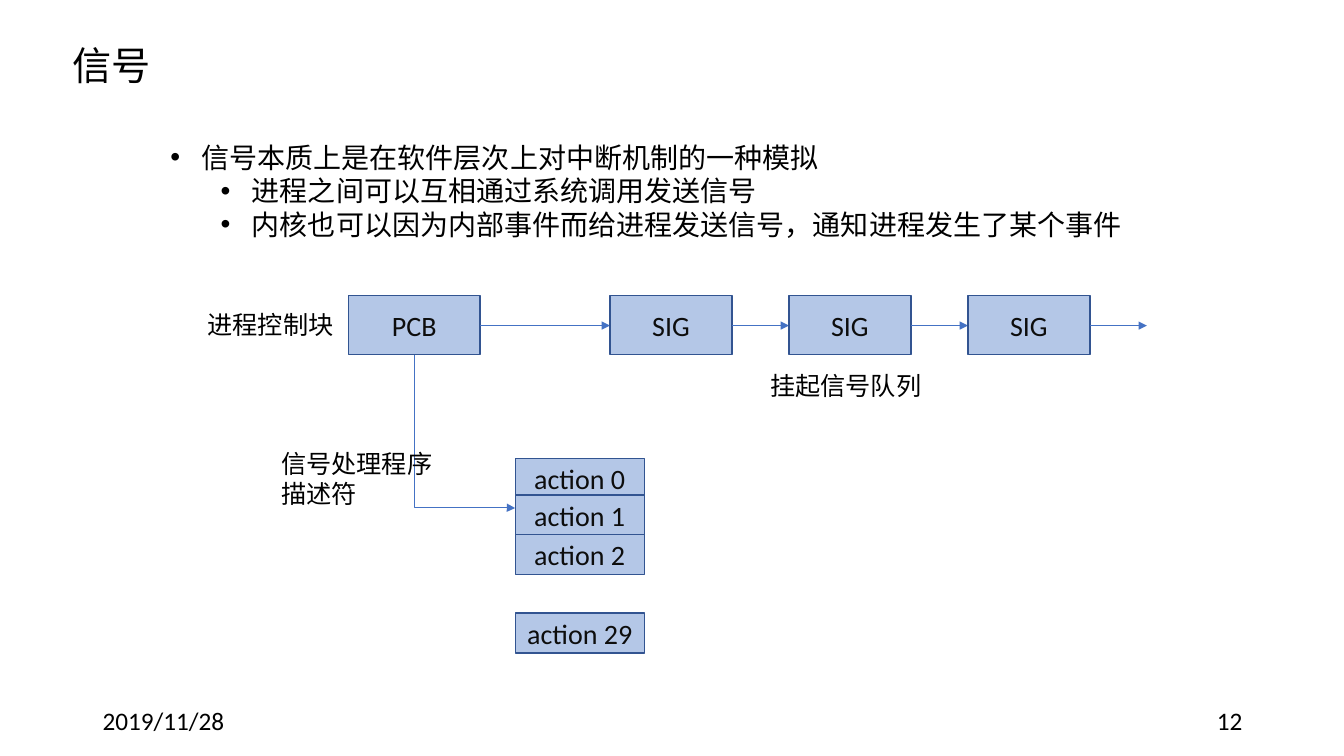
"""Build a slide on process signals, the pending queue and the action table."""
from dataclasses import dataclass

from lxml import etree
from pptx import Presentation
from pptx.dml.color import RGBColor
from pptx.enum import shapes, text
from pptx.oxml.ns import qn
from pptx.util import Inches, Pt


@dataclass(frozen=True)
class Theme:
    """Fonts, colours and sizes of the slide."""
    font: str = "Calibri"
    ink: str = "000000"
    box_ink: str = "0D0D0D"
    box_fill: str = "B4C7E7"
    box_line: str = "325491"
    arrow: str = "4472C4"
    title: int = 28
    body: int = 20
    label: int = 18


THEME = Theme()


def rgb(value):
    """Return a colour from its hex string."""
    return RGBColor.from_string(value)


def write(p, content, *, size=THEME.label, color=THEME.ink, align=None, spacing=None):
    """Write one formatted run into a paragraph."""
    if align is not None:
        p.alignment = align
    if spacing is not None:
        p.line_spacing = spacing
    r = p.add_run()
    r.text = content
    r.font.name = THEME.font
    r.font.size = Pt(size)
    r.font.color.rgb = rgb(color)


def add_frame(s, x, y, w, h, wrap=True):
    """Add a text box and return its text frame."""
    tf = s.shapes.add_textbox(Inches(x), Inches(y), Inches(w), Inches(h)).text_frame
    tf.word_wrap = wrap
    return tf


def add_label(s, content, x, y, w, h=0.4, wrap=True, **style):
    """Add a single-paragraph text box."""
    write(add_frame(s, x, y, w, h, wrap).paragraphs[0], content, **style)


def add_bullets(s, items, x, y, w, h):
    """Add a bulleted list from (level, text) pairs."""
    tf = add_frame(s, x, y, w, h, wrap=False)
    for i, (level, content) in enumerate(items):
        p = tf.add_paragraph() if i else tf.paragraphs[0]
        p.level = level
        pPr = p._p.get_or_add_pPr()
        pPr.set("marL", str(Inches(0.31 + 0.5 * level)))
        pPr.set("indent", str(Inches(-0.31)))
        etree.SubElement(pPr, qn("a:buFont"), typeface="Arial")
        etree.SubElement(pPr, qn("a:buChar"), char="•")
        write(p, content, size=THEME.body)


def add_box(s, content, x, y, w, h):
    """Add a filled rectangle with centred text."""
    sp = s.shapes.add_shape(shapes.MSO_SHAPE.RECTANGLE,
                            Inches(x), Inches(y), Inches(w), Inches(h))
    sp.shadow.inherit = False
    sp.fill.solid()
    sp.fill.fore_color.rgb = rgb(THEME.box_fill)
    sp.line.color.rgb = rgb(THEME.box_line)
    sp.line.width = Pt(1)
    tf = sp.text_frame
    tf.word_wrap = True
    tf.vertical_anchor = text.MSO_ANCHOR.MIDDLE
    write(tf.paragraphs[0], content, size=THEME.body, color=THEME.box_ink,
          align=text.PP_ALIGN.CENTER)


def add_arrow(s, x1, y1, x2, y2, kind=shapes.MSO_CONNECTOR.STRAIGHT):
    """Add a thin connector with an arrowhead at its end."""
    cx = s.shapes.add_connector(kind, Inches(x1), Inches(y1), Inches(x2), Inches(y2))
    cx.line.color.rgb = rgb(THEME.arrow)
    cx.line.width = Pt(0.5)
    etree.SubElement(cx.line._get_or_add_ln(), qn("a:tailEnd"), type="triangle")
    etree.SubElement(cx._element.spPr, qn("a:effectLst"))
    return cx


def add_down_right_arrow(s, x1, y1, x2, y2):
    """Add an elbow arrow that runs down and then right."""
    mid_x, mid_y = (x1 + x2) / 2, (y1 + y2) / 2
    half_w, half_h = (y2 - y1) / 2, (x2 - x1) / 2
    cx = add_arrow(s, mid_x + half_w, mid_y - half_h, mid_x - half_w, mid_y + half_h,
                   shapes.MSO_CONNECTOR.ELBOW)
    spPr = cx._element.spPr
    spPr.find(qn("a:xfrm")).set("rot", str(270 * 60000))
    geom = spPr.find(qn("a:prstGeom"))
    guides = geom.find(qn("a:avLst"))
    if guides is None:
        guides = etree.SubElement(geom, qn("a:avLst"))
    etree.SubElement(guides, qn("a:gd"), name="adj1", fmla="val 99800")


def add_signal_queue(s):
    """Add the process control block and its queue of pending signals."""
    top, height, mid = 2.93, 0.59, 3.23
    first, width, pitch = 6.05, 1.21, 1.775
    add_box(s, "PCB", 3.46, top, 1.3, height)
    add_arrow(s, 4.76, mid, first, mid)
    for i in range(3):
        x = first + i * pitch
        add_box(s, "SIG", x, top, width, height)
        add_arrow(s, x + width, mid, x + pitch, mid)
    add_down_right_arrow(s, 4.11, top + height, 5.11, 5.04)
    add_label(s, "进程控制块", 1.96, 3.02, 1.46, wrap=False)
    add_label(s, "挂起信号队列", 7.54, 3.62, 1.72, wrap=False)


def add_action_table(s):
    """Add the stack of signal actions and its label."""
    for number, y in ((0, 4.55), (1, 4.91), (2, 5.3), (29, 6.08)):
        add_box(s, f"action {number}", 5.11, y, 1.28, 0.4)
    add_label(s, "信号处理程序描述符", 2.69, 4.4, 1.73, 0.71)


def main():
    """Build and save the slide."""
    prs = Presentation()
    prs.slide_width, prs.slide_height = Inches(13.33), Inches(7.5)
    s = prs.slides.add_slide(prs.slide_layouts[6])
    add_label(s, "2019/11/28", 0.92, 6.95, 3)
    add_label(s, "12", 9.42, 6.95, 3, align=text.PP_ALIGN.RIGHT)
    add_label(s, "信号", 0.62, 0.41, 4.62, 0.58, size=THEME.title, spacing=0.9)
    add_bullets(s, [
        (0, "信号本质上是在软件层次上对中断机制的一种模拟"),
        (1, "进程之间可以互相通过系统调用发送信号"),
        (1, "内核也可以因为内部事件而给进程发送信号，通知进程发生了某个事件"),
    ], 1.59, 1.34, 9.72, 1.11)
    add_signal_queue(s)
    add_action_table(s)
    prs.save("out.pptx")


if __name__ == "__main__":
    main()
